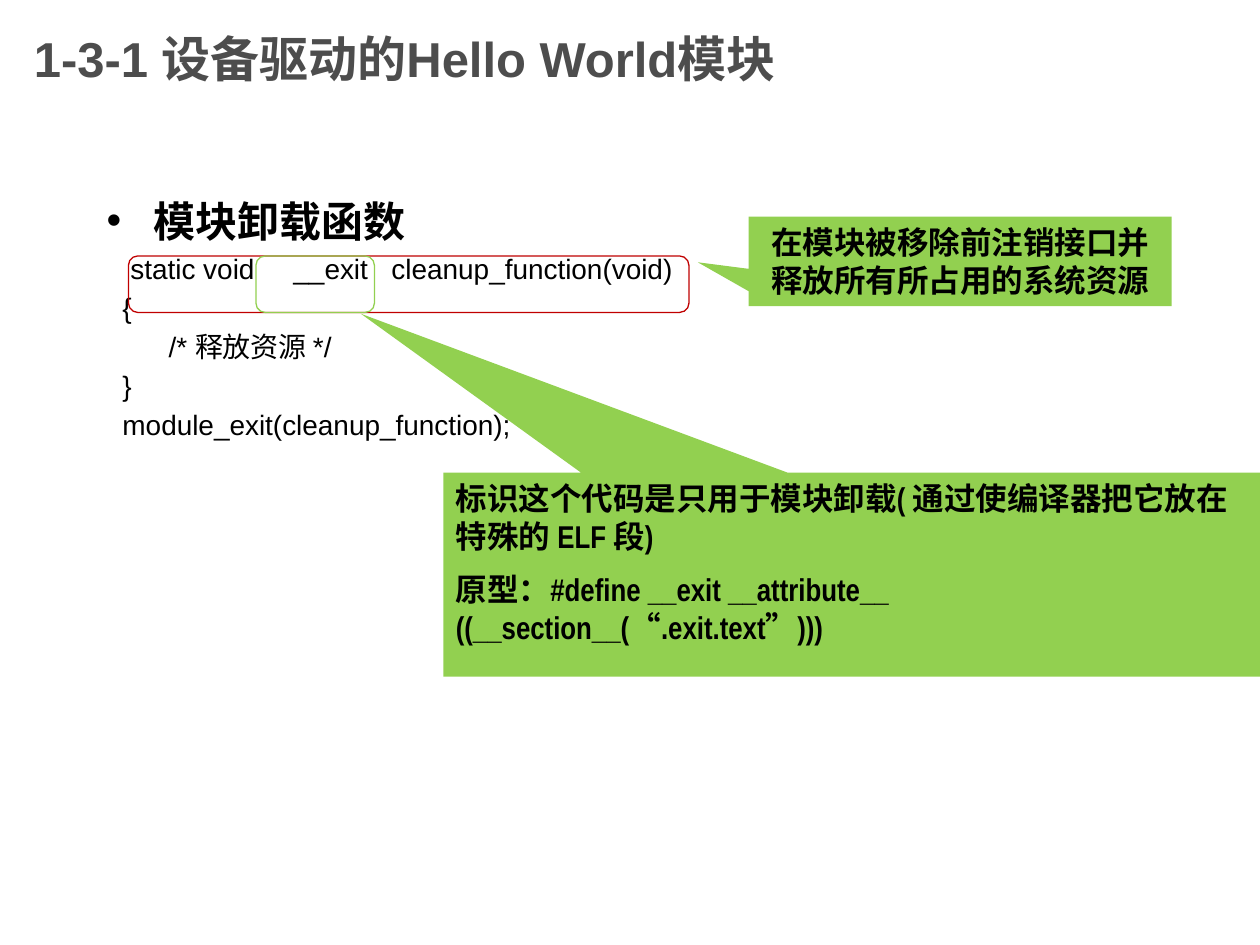
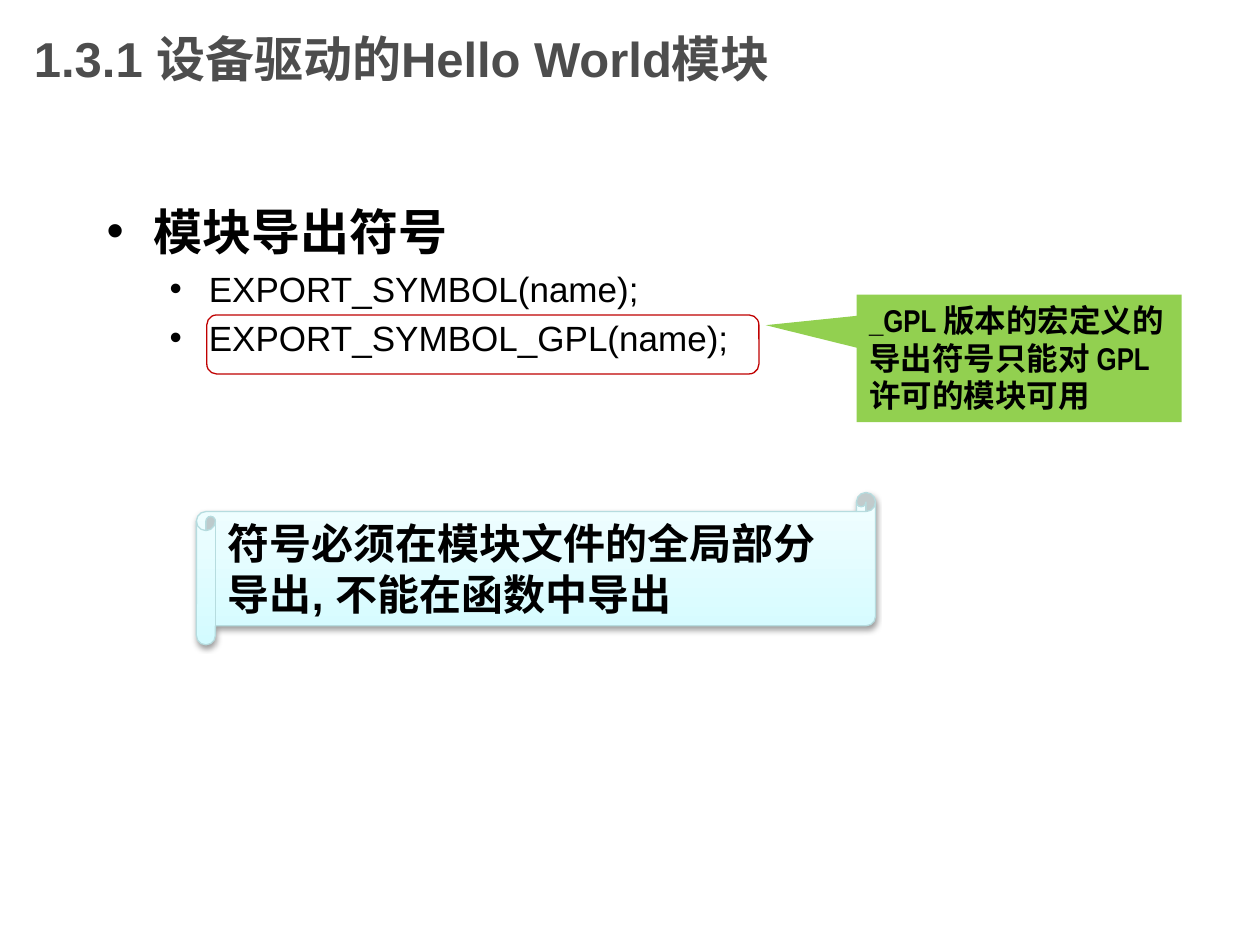
from dataclasses import dataclass

import lxml.etree
import pptx
import pptx.dml.color
import pptx.enum.shapes
import pptx.enum.text
import pptx.oxml
import pptx.oxml.ns
import pptx.util

Cm = pptx.util.Cm
Pt = pptx.util.Pt
RGBColor = pptx.dml.color.RGBColor
Preset = pptx.enum.shapes.MSO_SHAPE
Align = pptx.enum.text.PP_ALIGN
Anchor = pptx.enum.text.MSO_ANCHOR

# Shared colours and fonts
TITLE_GREY = RGBColor(0x4D, 0x4D, 0x4D)
BLACK = RGBColor(0x00, 0x00, 0x00)
RED = RGBColor(0xC0, 0x00, 0x00)
GREEN = RGBColor(0x92, 0xD0, 0x50)
SCROLL_BOTTOM = RGBColor(0xD3, 0xFB, 0xFF)
SCROLL_TOP = RGBColor(0xF2, 0xFE, 0xFF)
SCROLL_EDGE = RGBColor(0xB6, 0xDC, 0xDF)
BODY_FONT = "Arial"
NOTE_FONT = "Arial Narrow"
BODY_GAP = 0.2  # space before a paragraph, as a share of its size
NOTE_GAP = 0.5


@dataclass(frozen=True)
class Area:
    """Left, top, width and height in centimetres."""
    left: float
    top: float
    width: float
    height: float

    def lengths(self) -> tuple:
        return Cm(self.left), Cm(self.top), Cm(self.width), Cm(self.height)


@dataclass(frozen=True)
class Spaced:
    """A word set apart by one space widened by some points."""
    widening: float
    word: str


@dataclass(frozen=True)
class Line:
    text: str
    size: int
    bold: bool = False
    margin: float = 0
    indent: float = 0
    bullet: bool = False
    more: tuple[Spaced, ...] = ()


@dataclass(frozen=True)
class Frame:
    area: Area
    color: RGBColor


@dataclass(frozen=True)
class Callout:
    area: Area
    pointer: tuple[float, float]
    texts: tuple[str, ...]
    align: Align = Align.LEFT


TITLE_AREA = Area(0.43, 0, 19.05, 2.34)


def heading(text: str, size: int) -> Line:
    return Line(text, size, True, 0.95, -0.95, True)


def code(text: str, indent: float, more: tuple[Spaced, ...] = ()) -> Line:
    return Line(text, 16, indent=indent, more=more)


def macro(text: str) -> Line:
    return Line(text, 20, False, 2.06, -0.79, True)


def format_para(para, size: int, font: str, color: RGBColor, bold: bool,
                gap: float = 0, align: Align = Align.LEFT) -> None:
    para.alignment = align
    para.space_before = Pt(round(size * gap, 1))
    for span in para.runs:
        span.font.size = Pt(size)
        span.font.name = font
        span.font.bold = bold
        span.font.color.rgb = color


def add_spaced(para, spaced: Spaced) -> None:
    gap = para.add_run()
    gap.text = " "
    gap._r.get_or_add_rPr().set("spc", str(round(spaced.widening * 100)))
    para.add_run().text = spaced.word


def indent_para(para, line: Line) -> None:
    props = para._p.get_or_add_pPr()
    props.set("marL", str(Cm(line.margin)))
    props.set("indent", str(Cm(line.indent)))
    if line.bullet:
        add_child(props, "a:buFont", typeface=BODY_FONT)
        add_child(props, "a:buChar", char="•")


def add_child(parent, tag: str, **attributes: str):
    return lxml.etree.SubElement(parent, pptx.oxml.ns.qn(tag), attributes)


def add_page(deck, title: str):
    page = deck.slides.add_slide(deck.slide_layouts[5])
    box = page.shapes.title
    box.left, box.top, box.width, box.height = TITLE_AREA.lengths()
    frame = box.text_frame
    frame.text = title
    frame.vertical_anchor = Anchor.MIDDLE
    frame.auto_size = pptx.enum.text.MSO_AUTO_SIZE.NONE
    format_para(frame.paragraphs[0], 28, BODY_FONT, TITLE_GREY, True)
    return page


def add_body(page, area: Area, lines: list[Line]) -> None:
    frame = page.shapes.add_textbox(*area.lengths()).text_frame
    frame.word_wrap = True
    frame.text = "\n".join(line.text for line in lines)
    for para, line in zip(frame.paragraphs, lines):
        for spaced in line.more:
            add_spaced(para, spaced)
        format_para(para, line.size, BODY_FONT, BLACK, line.bold, BODY_GAP)
        indent_para(para, line)


def add_frame(page, frame: Frame) -> None:
    box = page.shapes.add_shape(Preset.ROUNDED_RECTANGLE, *frame.area.lengths())
    box.shadow.inherit = False
    box.fill.background()
    box.line.color.rgb = frame.color
    box.line.width = Pt(0.75)


def write_note(box, texts: tuple[str, ...], size: int, font: str,
               align: Align = Align.LEFT) -> None:
    frame = box.text_frame
    frame.word_wrap = True
    frame.vertical_anchor = Anchor.TOP
    frame.text = "\n".join(texts)
    for para in frame.paragraphs:
        format_para(para, size, font, BLACK, True, NOTE_GAP, align)


def add_callout(page, note: Callout) -> None:
    box = page.shapes.add_shape(Preset.RECTANGULAR_CALLOUT, *note.area.lengths())
    box.shadow.inherit = False
    box.adjustments[0], box.adjustments[1] = note.pointer
    box.fill.solid()
    box.fill.fore_color.rgb = GREEN
    box.line.fill.background()
    write_note(box, note.texts, 18, NOTE_FONT, note.align)


def add_scroll(page, area: Area, text: str) -> None:
    box = page.shapes.add_shape(Preset.HORIZONTAL_SCROLL, *area.lengths())
    box.fill.gradient()
    box.fill.gradient_angle = 90
    for stop, color in zip(box.fill.gradient_stops, (SCROLL_BOTTOM, SCROLL_TOP)):
        stop.color.rgb = color
    box.line.color.rgb = SCROLL_EDGE
    box.line.width = Pt(0.75)
    # Soft shadow below the scroll
    box.shadow.inherit = False
    effects = box._element.spPr.find(pptx.oxml.ns.qn("a:effectLst"))
    shadow = add_child(effects, "a:outerShdw", blurRad=str(Pt(3.1)),
                       dist=str(Pt(1.6)), dir="5400000", rotWithShape="0")
    shade = add_child(shadow, "a:srgbClr", val=str(BLACK))
    add_child(shade, "a:alpha", val="38000")
    write_note(box, (text,), 24, BODY_FONT)


def build_unload_page(deck) -> None:
    page = add_page(deck, "1-3-1 设备驱动的Hello World模块")
    add_body(page, Area(1.9, 3.81, 21.59, 13.13), [
        heading("模块卸载函数", 24),
        code("static void", 0.48,
             (Spaced(17.8, "__exit"), Spaced(9, "cleanup_function(void)"))),
        code("{", 0.32),
        code("/* 释放资源 */", 1.25),
        code("}", 0.32),
        code("module_exit(cleanup_function);", 0.32),
    ])
    add_frame(page, Frame(Area(2.59, 5.16, 11.3, 1.14), RED))
    add_callout(page, Callout(
        Area(15.09, 4.37, 8.53, 1.8), (-0.62, 0.01),
        ("在模块被移除前注销接口并释放所有所占用的系统资源",), Align.CENTER))
    add_frame(page, Frame(Area(5.16, 5.16, 2.39, 1.14), GREEN))
    add_callout(page, Callout(
        Area(8.94, 9.53, 16.66, 4.11), (-0.6, -1.28),
        ("标识这个代码是只用于模块卸载( 通过使编译器把它放在特殊的 ELF 段)",
         "原型：#define __exit __attribute__ ((__section__(“.exit.text”)))")))


def build_export_page(deck) -> None:
    page = add_page(deck, "1.3.1 设备驱动的Hello World模块")
    add_body(page, Area(1.9, 3.94, 21.59, 13.13), [
        heading("模块导出符号", 28),
        macro("EXPORT_SYMBOL(name);"),
        macro("EXPORT_SYMBOL_GPL(name);"),
    ])
    add_frame(page, Frame(Area(4.17, 6.35, 11.13, 1.19), RED))
    add_callout(page, Callout(
        Area(17.27, 5.94, 6.55, 2.57), (-0.78, -0.26),
        ("_GPL 版本的宏定义的导出符号只能对 GPL 许可的模块可用",)))
    add_scroll(page, Area(3.96, 9.93, 13.69, 3.07),
               "符号必须在模块文件的全局部分导出, 不能在函数中导出")


def main() -> None:
    deck = pptx.Presentation()
    deck.slide_width, deck.slide_height = Cm(25.4), Cm(19.05)
    build_unload_page(deck)
    build_export_page(deck)
    deck.save("out.pptx")


if __name__ == "__main__":
    main()
